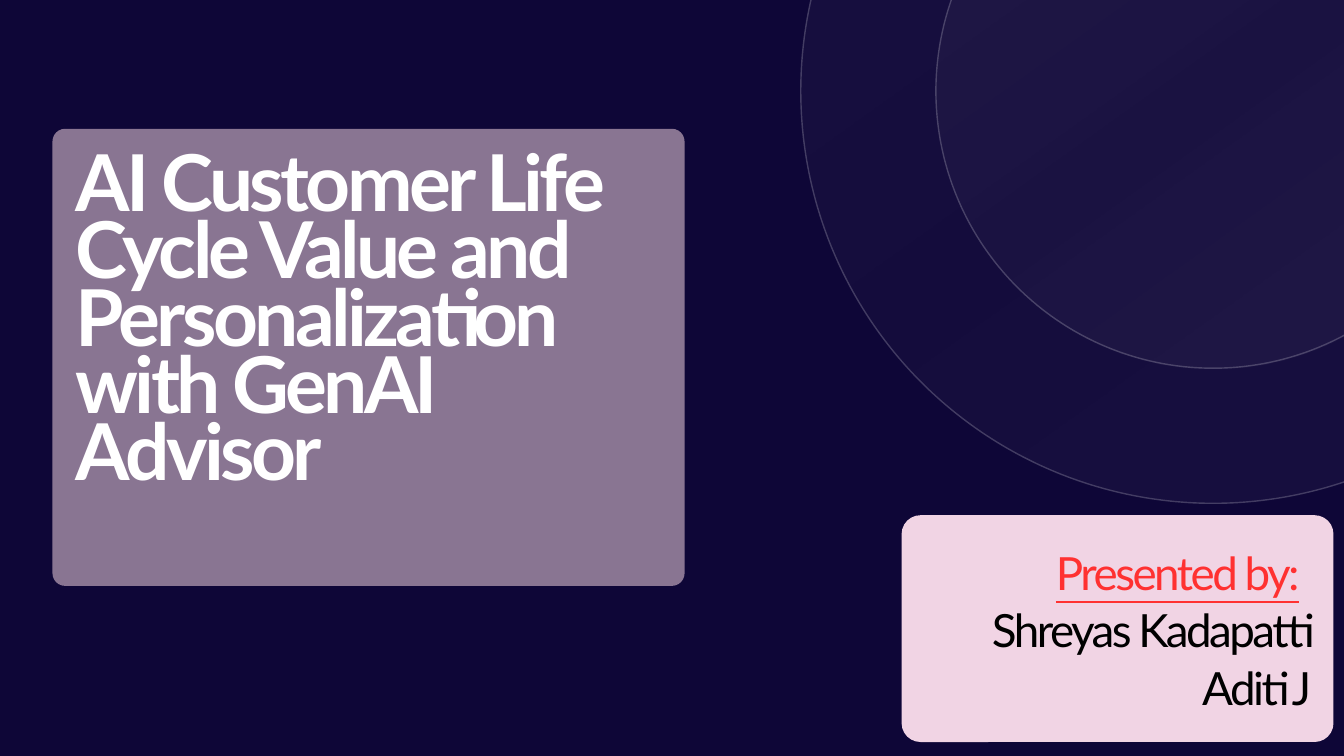
from lxml import etree
from pptx import Presentation
from pptx.dml.color import RGBColor
from pptx.enum.shapes import MSO_SHAPE
from pptx.enum.text import MSO_AUTO_SIZE, PP_ALIGN
from pptx.oxml.ns import qn
from pptx.util import Pt

PX = 9525
OVAL, ROUND = MSO_SHAPE.OVAL, MSO_SHAPE.ROUNDED_RECTANGLE
LEFT, RIGHT = PP_ALIGN.LEFT, PP_ALIGN.RIGHT
GROW = MSO_AUTO_SIZE.SHAPE_TO_FIT_TEXT

NAVY = RGBColor(0x0E, 0x06, 0x37)
WHITE = RGBColor(0xFF, 0xFF, 0xFF)
BLACK = RGBColor(0x00, 0x00, 0x00)
RED = RGBColor(0xFF, 0x31, 0x31)
PINK = RGBColor(0xF1, 0xD4, 0xE4)
MAUVE = RGBColor(0x89, 0x75, 0x92)

TITLE = {"name": "Lato", "size": Pt(84), "bold": True}
NAMES = {"name": "Lato", "size": Pt(49)}


def emu(*sizes):
    return [size * PX for size in sizes]


def set_alpha(color, percent):
    etree.SubElement(color, qn("a:alpha")).set("val", str(percent * 1000))


def add_shape(slide, kind, box):
    shape = slide.shapes.add_shape(kind, *emu(*box))
    shape.shadow.inherit = False
    return shape


def add_ring(slide, mid, rad):
    """Add a faint glass disc around the point mid."""
    x, y = mid
    ring = add_shape(slide, OVAL, (x - rad, y - rad, 2 * rad, 2 * rad))
    ring.rotation = 9.4
    ring.fill.gradient()
    props = ring._element.spPr
    grad = props.find(qn("a:gradFill"))
    stops = grad.find(qn("a:gsLst"))
    for stop in list(stops):
        stops.remove(stop)
    for i in range(5):
        stop = etree.SubElement(stops, qn("a:gs"), pos=str(i * 25000))
        color = etree.SubElement(stop, qn("a:srgbClr"), val=str(WHITE))
        set_alpha(color, 2 + i % 2)
    grad.find(qn("a:lin")).set("ang", str(45 * 60000))
    ring.line.width = Pt(1.5)
    ring.line.color.rgb = WHITE
    set_alpha(props.find(qn("a:ln")).find(f".//{qn('a:srgbClr')}"), 20)


def add_card(slide, box, color, rad):
    card = add_shape(slide, ROUND, box)
    card.adjustments[0] = rad / min(box[2:])
    card.fill.solid()
    card.fill.fore_color.rgb = color
    card.line.fill.background()


def add_text(slide, box, lines, style, align, lead, track):
    """Each line is a list of (text, color, underline) runs."""
    frame = slide.shapes.add_textbox(*emu(*box)).text_frame
    form = {"word_wrap": True, "auto_size": GROW, "margin_left": 0,
            "margin_top": 0, "margin_right": 0, "margin_bottom": 0}
    for key, value in form.items():
        setattr(frame, key, value)
    for i, runs in enumerate(lines):
        para = frame.add_paragraph() if i else frame.paragraphs[0]
        para.alignment = align
        para.line_spacing = Pt(lead)
        for text, color, under in runs:
            run = para.add_run()
            run.text = text
            for key, value in {**style, "underline": under}.items():
                setattr(run.font, key, value)
            run.font.color.rgb = color
            run._r.get_or_add_rPr().set("spc", str(round(track * 100)))


def add_title(slide, box):
    x, y, w, h = box
    add_card(slide, box, MAUVE, 18)
    text = "AI Customer Life Cycle Value and Personalization with GenAI Advisor"
    add_text(slide, (x + 33, y + 44, w - 51, h - 65),
             [[(text, WHITE, False)]], TITLE, LEFT, 72.2, -3.9)


def add_names(slide, box):
    x, y, w, h = box
    add_card(slide, box, PINK, 27)
    lines = [[("Presented by:", RED, True), (" ", RED, False)],
             [("Shreyas Kadapatti", BLACK, False)],
             [("Aditi J", BLACK, False)]]
    add_text(slide, (x - 74, y + 38, w + 42, h - 79),
             lines, NAMES, RIGHT, 61.7, -2.7)


def main():
    deck = Presentation()
    deck.slide_width, deck.slide_height = emu(1920, 1080)
    slide = deck.slides.add_slide(deck.slide_layouts[6])
    slide.background.fill.solid()
    slide.background.fill.fore_color.rgb = NAVY
    for rad in (589, 396):
        add_ring(slide, (1733, 130), rad)
    add_names(slide, (1288, 736, 617, 324))
    add_title(slide, (75, 184, 903, 653))
    deck.save("out.pptx")


if __name__ == "__main__":
    main()
